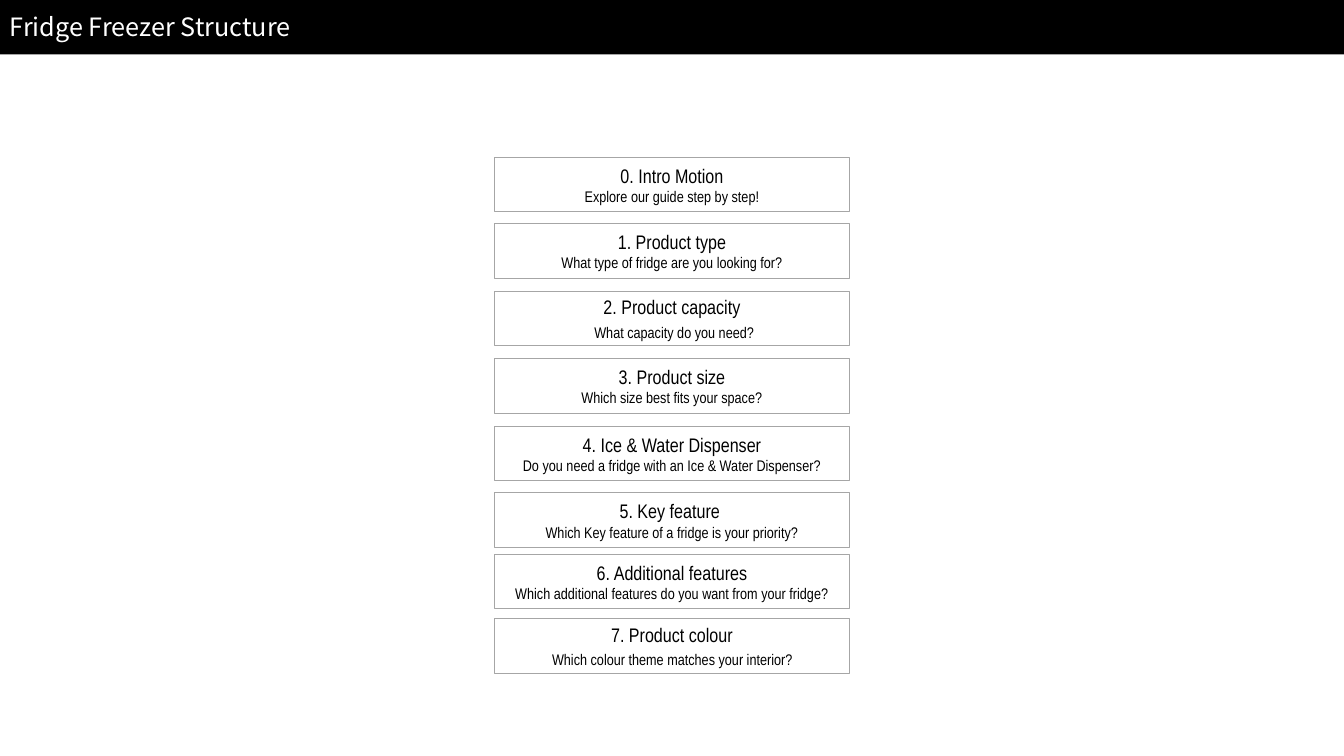
from itertools import accumulate
from pptx import Presentation
from pptx.dml.color import RGBColor
from pptx.enum.shapes import MSO_SHAPE
from pptx.enum.text import MSO_ANCHOR, MSO_AUTO_SIZE, PP_ALIGN
from pptx.util import Inches, Pt

RECT = MSO_SHAPE.RECTANGLE
MIDDLE = MSO_ANCHOR.MIDDLE
CENTER = PP_ALIGN.CENTER
GROW = MSO_AUTO_SIZE.SHAPE_TO_FIT_TEXT

TITLE = "Fridge Freezer Structure"
INTRO = ("0. Intro Motion", ["Explore our guide step by step!"])
STEPS = [
    ("1. Product type", ["What type of fridge are you looking for?"]),
    ("2. Product capacity", [" ", "What capacity do you need?"]),
    ("3. Product size", ["Which size best fits your space?"]),
    ("4. Ice & Water Dispenser", ["Do you need a fridge with an Ice & Water Dispenser?"]),
    ("5. Key feature ", ["Which Key feature of a fridge is your priority?"]),
    ("6. Additional features", ["Which additional features do you want from your fridge?"]),
    ("7. Product colour", [" ", "Which colour theme matches your interior? "]),
]
THEME = {
    "bar": "000000", "title": "FFFFFF", "text": "000000", "card": "FFFFFF", "edge": "A6A6A6",
    "head": "Noto Sans CJK KR", "body": "Arial Narrow",
    "big": 18, "mid": 14, "small": 11, "line": 0.75,
}
WIDE, HIGH = 13.33, 7.5
ROW = 0.54
CARD = 3.52
TOP = 1.56
PITCH = [0.66, 0.67, 0.67, 0.67, 0.66, 0.61, 0.64]


def color(name):
    return RGBColor.from_string(THEME[name])


def box(x, y, w, h, fill=None, edge=None):
    shape = slide.shapes.add_shape(RECT, Inches(x), Inches(y), Inches(w), Inches(h))
    shape.shadow.inherit = False
    if fill:
        shape.fill.solid()
        shape.fill.fore_color.rgb = color(fill)
    else:
        shape.fill.background()
    if edge:
        shape.line.color.rgb = color(edge)
        shape.line.width = Pt(THEME["line"])
    else:
        shape.line.fill.background()
    return shape


def write(para, text, font, size, ink):
    run = para.add_run()
    run.text = text
    run.font.name = THEME[font]
    run.font.size = Pt(THEME[size])
    run.font.color.rgb = color(ink)


def card(y, name, ask, fill=None):
    frame = box((WIDE - CARD) / 2, y, CARD, ROW, fill, "edge").text_frame
    frame.margin_left = frame.margin_right = frame.margin_top = frame.margin_bottom = 0
    frame.vertical_anchor = MIDDLE
    frame.word_wrap = True
    label, hint = frame.paragraphs[0], frame.add_paragraph()
    label.alignment = hint.alignment = CENTER
    write(label, name, "body", "mid", "text")
    for part in ask:
        write(hint, part, "body", "small" if part.strip() else "mid", "text")


deck = Presentation()
deck.slide_width, deck.slide_height = Inches(WIDE), Inches(HIGH)
slide = deck.slides.add_slide(deck.slide_layouts[6])

box(0, 0, WIDE, ROW, "bar")
frame = slide.shapes.add_textbox(0, Inches(0.06), Inches(3.03), Inches(0.4)).text_frame
frame.word_wrap = False
frame.auto_size = GROW
write(frame.paragraphs[0], TITLE, "head", "big", "title")

tops = list(accumulate([TOP] + PITCH))
for y, (name, ask) in zip(tops[1:], STEPS):
    card(y, name, ask)
card(tops[0], *INTRO, fill="card")

deck.save("out.pptx")
